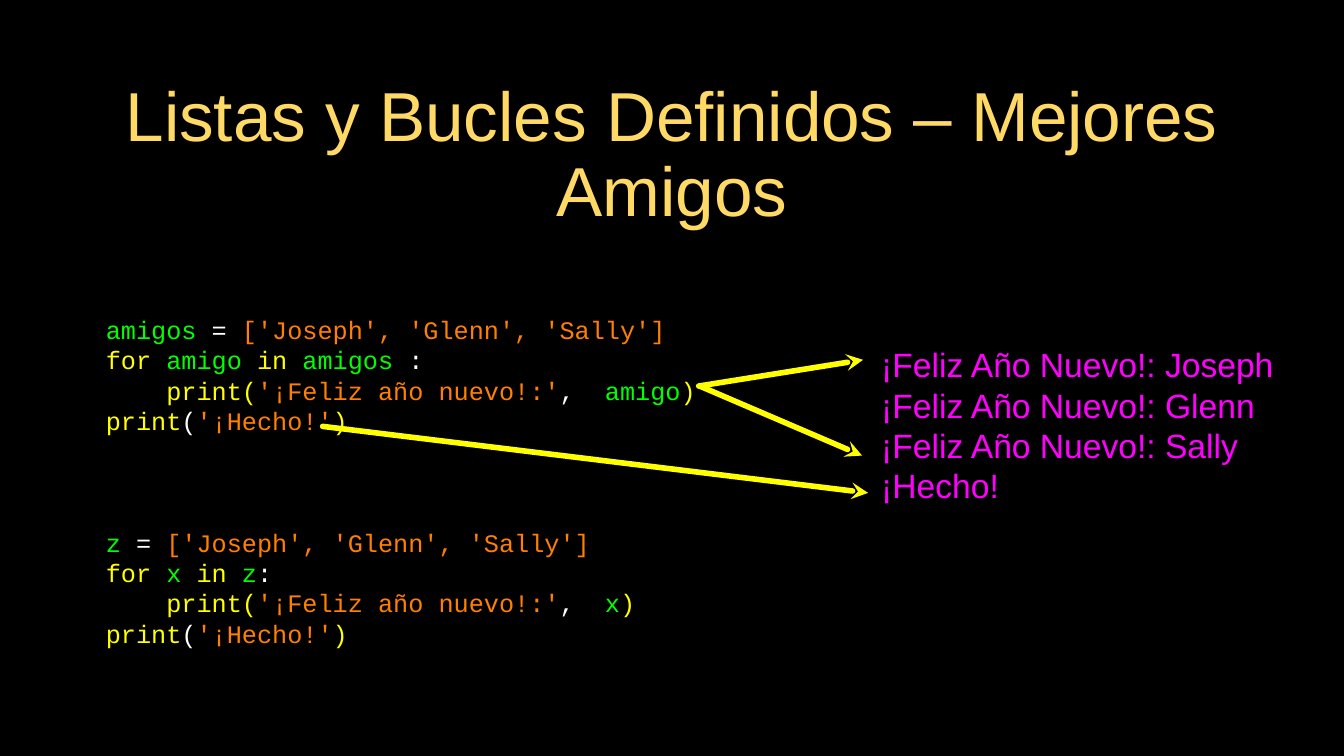
from dataclasses import dataclass

from lxml.etree import SubElement
from pptx import Presentation
from pptx.dml.color import RGBColor
from pptx.enum.shapes import MSO_CONNECTOR as Connector
from pptx.enum.text import MSO_ANCHOR as Anchor, PP_ALIGN as Align
from pptx.oxml.ns import qn
from pptx.util import Inches, Pt


@dataclass(frozen=True)
class Theme:
    """Colours, fonts and type sizes of the slide."""
    background: str = "000000"
    title: str = "FFD966"
    name: str = "00FF00"
    keyword: str = "FFFF00"
    literal: str = "FF7F00"
    plain: str = "FFFFFF"
    output: str = "FF00FF"
    arrow: str = "FFFF00"
    text_font: str = "Arial"
    code_font: str = "Courier New"
    title_size: float = 49.5
    code_size: float = 18
    output_size: float = 24
    arrow_width: float = 4


THEME = Theme()


def add_text(s, box, lines, font, size, inset=0, **paragraph_format):
    """Place lines of (text, colour) runs in a box, centred vertically."""
    tf = s.shapes.add_textbox(*map(Inches, box)).text_frame
    frame_format = {"word_wrap": True, "vertical_anchor": Anchor.MIDDLE}
    for side in ("left", "top", "right", "bottom"):
        frame_format[f"margin_{side}"] = Inches(inset)
    for key, value in frame_format.items():
        setattr(tf, key, value)
    for i, line in enumerate(lines):
        p = tf.add_paragraph() if i else tf.paragraphs[0]
        for key, value in paragraph_format.items():
            setattr(p, key, value)
        for text, color in line:
            r = p.add_run()
            r.text = text
            for key, value in {"name": font, "size": Pt(size)}.items():
                setattr(r.font, key, value)
            r.font.color.rgb = RGBColor.from_string(color)


def add_title(s, box, text):
    """Place the centred slide title."""
    add_text(s, box, [[(text, THEME.title)]], THEME.text_font, THEME.title_size,
             inset=0.1, alignment=Align.CENTER, line_spacing=0.9)


def add_loop_code(s, box, sequence, item, colon):
    """Place a coloured code listing that loops over a list of friends."""
    name, keyword, literal, plain = THEME.name, THEME.keyword, THEME.literal, THEME.plain
    lines = [
        [(sequence, name), (" = ", plain), ("['Joseph', 'Glenn', 'Sally']", literal)],
        [("for ", keyword), (f"{item} ", name), ("in ", keyword),
         (sequence, name), (colon, plain)],
        [("    print(", keyword), ("'¡Feliz año nuevo!:'", literal), (",  ", plain),
         (item, name), (")", keyword)],
        [("print", keyword), ("(", plain), ("'¡Hecho!'", literal), (")", keyword)],
    ]
    add_text(s, box, lines, THEME.code_font, THEME.code_size)


def add_output(s, box, friends):
    """Place the text that the program prints."""
    lines = [f"¡Feliz Año Nuevo!: {friend}" for friend in friends] + ["¡Hecho!"]
    add_text(s, box, [[(line, THEME.output)] for line in lines],
             THEME.text_font, THEME.output_size)


def add_arrow(s, start, end):
    """Draw an arrow from a code line to its output."""
    arrow = s.shapes.add_connector(Connector.STRAIGHT, *map(Inches, start + end))
    arrow.line.width = Pt(THEME.arrow_width)
    arrow.line.color.rgb = RGBColor.from_string(THEME.arrow)
    ln = arrow.line._get_or_add_ln()
    ln.set("cap", "rnd")
    SubElement(ln, qn("a:tailEnd"), type="stealth")
    SubElement(arrow._element.spPr, qn("a:effectLst"))


def main():
    """Build the slide and save it."""
    prs = Presentation()
    prs.slide_width, prs.slide_height = Inches(13.33), Inches(7.5)
    s = prs.slides.add_slide(prs.slide_layouts[6])
    fill = s.background.fill
    fill.solid()
    fill.fore_color.rgb = RGBColor.from_string(THEME.background)

    add_title(s, (0, 1.05, 13.33, 1.01), "Listas y Bucles Definidos – Mejores Amigos")
    add_loop_code(s, (1.05, 2.81, 5.97, 1.82), "amigos", "amigo", " :")
    add_output(s, (8.74, 3.32, 4.05, 1.79), ("Joseph", "Glenn", "Sally"))
    for start, end in (((6.93, 3.83), (8.56, 3.57)),
                       ((6.94, 3.83), (8.55, 4.52)),
                       ((3.2, 4.23), (8.61, 4.89))):
        add_arrow(s, start, end)
    add_loop_code(s, (1.05, 4.92, 6.36, 1.82), "z", "x", ":")
    prs.save("out.pptx")


if __name__ == "__main__":
    main()
